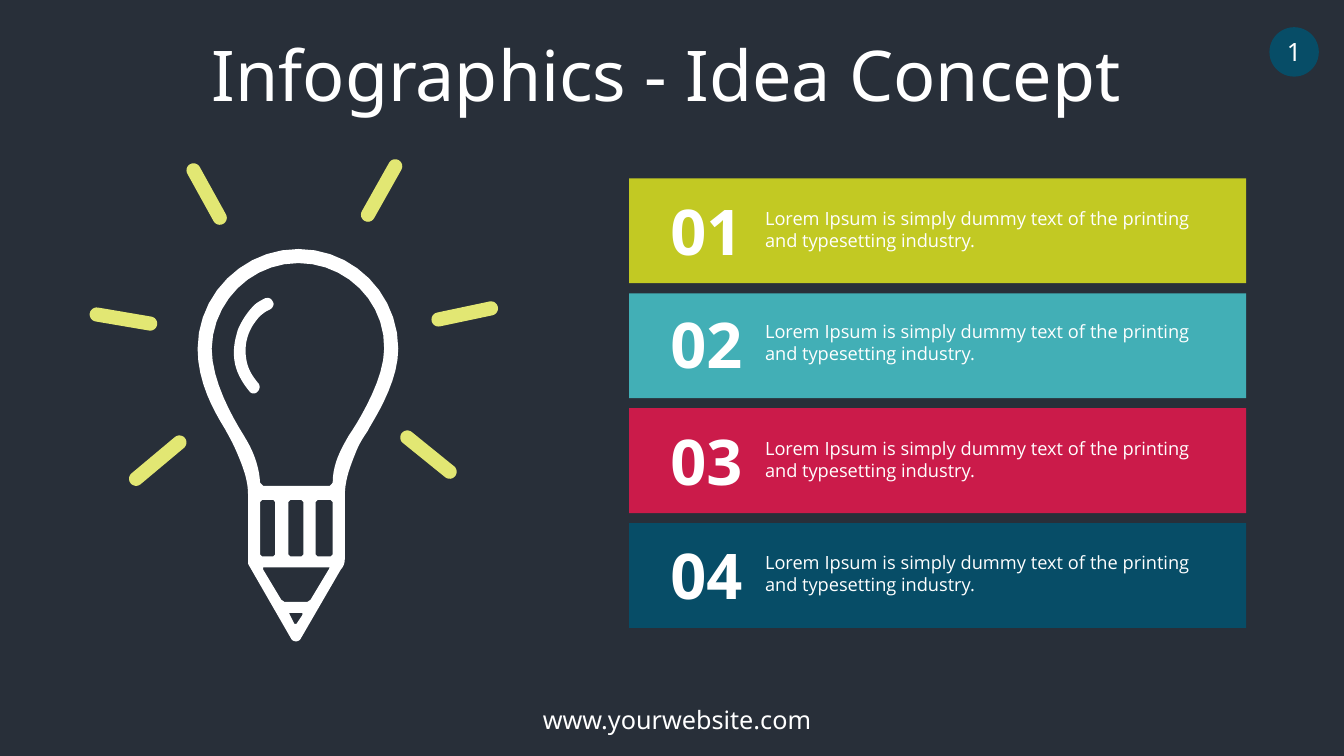
from math import atan2, cos, pi, sin

from pptx import Presentation
from pptx.dml.color import RGBColor
from pptx.enum.shapes import MSO_SHAPE
from pptx.enum.text import MSO_ANCHOR, MSO_AUTO_SIZE, PP_ALIGN
from pptx.util import Inches, Pt

NIGHT = RGBColor(0x28, 0x2F, 0x39)
WHITE = RGBColor(0xFF, 0xFF, 0xFF)
YELLOW = RGBColor(0xE2, 0xE7, 0x73)
LIME = RGBColor(0xC2, 0xC9, 0x23)
TEAL = RGBColor(0x42, 0xAF, 0xB6)
CRIMSON = RGBColor(0xCB, 0x1B, 0x4A)
NAVY = RGBColor(0x07, 0x4D, 0x67)

prs = Presentation()
prs.slide_width, prs.slide_height = Inches(13.33), Inches(7.5)
slide = prs.slides.add_slide(prs.slide_layouts[5])
slide.background.fill.solid()
slide.background.fill.fore_color.rgb = NIGHT
shapes = slide.shapes


def write(text, box=None, holder=None, size=18, font="Noto Sans", bold=False,
          align=PP_ALIGN.CENTER, anchor=MSO_ANCHOR.TOP, wrap=True,
          fit=MSO_AUTO_SIZE.SHAPE_TO_FIT_TEXT):
    """Put white text in holder, or in a new text box at box."""
    holder = holder or shapes.add_textbox(*map(Inches, box))
    frame = holder.text_frame
    frame.text = text
    frame.word_wrap, frame.auto_size, frame.vertical_anchor = wrap, fit, anchor
    paragraph = frame.paragraphs[0]
    paragraph.alignment = align
    style = paragraph.runs[0].font
    style.name, style.size, style.bold = font, Pt(size), bold
    style.color.rgb = WHITE


def draw_outline(contours, color, steps=10):
    """Fill closed contours; a 2-tuple is a corner, a 6-tuple a Bezier curve."""
    builder = None
    for start, *segments in contours:
        points = [start]
        for segment in segments:
            if len(segment) == 2:
                points.append(segment)
                continue
            x0, y0 = points[-1]
            x1, y1, x2, y2, x3, y3 = segment
            for step in range(1, steps + 1):
                t = step / steps
                a, b, c, d = (1 - t)**3, 3 * t * (1 - t)**2, 3 * t**2 * (1 - t), t**3
                points.append((a * x0 + b * x1 + c * x2 + d * x3,
                               a * y0 + b * y1 + c * y2 + d * y3))
        first, *rest = [(Inches(x), Inches(y)) for x, y in points]
        if builder is None:
            builder = shapes.build_freeform(*first)
        else:
            builder.move_to(*first)
        builder.add_line_segments(rest, close=True)
    figure = builder.convert_to_shape()
    figure.shadow.inherit = False
    figure.fill.solid()
    figure.fill.fore_color.rgb = color
    figure.line.fill.background()


# Heading, page number and footer
title = shapes.title
title.left, title.top, title.width, title.height = map(Inches, (1.32, 0.26, 10.58, 0.94))
write("Infographics - Idea Concept", holder=title, size=50)

badge = shapes.add_shape(MSO_SHAPE.OVAL, *map(Inches, (12.59, 0.27, 0.49, 0.49)))
badge.shadow.inherit = False
badge.fill.solid()
badge.fill.fore_color.rgb = NAVY
badge.line.fill.background()
write("1", holder=badge, anchor=MSO_ANCHOR.MIDDLE, wrap=False, fit=MSO_AUTO_SIZE.NONE)

write("www.yourwebsite.com", (0.5, 6.94, 12.43, 0.4))

# Rays: round-ended strokes between two centres
RAY_RADIUS = 0.07
rays = [
    (1.78, 4.39, 1.35, 4.75),
    (3.92, 1.65, 3.65, 2.13),
    (1.92, 1.69, 2.18, 2.16),
    (4.04, 4.34, 4.46, 4.68),
    (4.87, 3.06, 4.35, 3.17),
    (0.96, 3.12, 1.49, 3.21),
]
for x1, y1, x2, y2 in rays:
    heading = atan2(y2 - y1, x2 - x1)
    ray = []
    for x, y, turn in ((x2, y2, -pi / 2), (x1, y1, pi / 2)):
        for step in range(13):
            angle = heading + turn + pi * step / 12
            ray.append((x + RAY_RADIUS * cos(angle), y + RAY_RADIUS * sin(angle)))
    draw_outline([ray], YELLOW)

# Light bulb ending in a pencil
glint = [
    (2.32, 3.5), (2.32, 3.41, 2.34, 3.34, 2.36, 3.27),
    (2.4, 3.18, 2.45, 3.1, 2.52, 3.03), (2.55, 3, 2.59, 2.98, 2.63, 2.96),
    (2.67, 2.95, 2.69, 2.96, 2.71, 3), (2.72, 3.02, 2.71, 3.05, 2.68, 3.07),
    (2.63, 3.09, 2.58, 3.13, 2.55, 3.17), (2.51, 3.22, 2.48, 3.27, 2.46, 3.33),
    (2.43, 3.42, 2.43, 3.51, 2.45, 3.6), (2.47, 3.68, 2.51, 3.74, 2.56, 3.8),
    (2.58, 3.82, 2.58, 3.86, 2.56, 3.88), (2.54, 3.91, 2.5, 3.91, 2.48, 3.89),
    (2.43, 3.83, 2.39, 3.77, 2.36, 3.7), (2.33, 3.63, 2.32, 3.56, 2.32, 3.5),
]
draw_outline([glint], WHITE)

body = [
    (2.96, 2.47), (2.41, 2.47, 1.96, 2.92, 1.96, 3.46),
    (1.96, 3.88, 2.22, 4.22, 2.25, 4.29), (2.29, 4.36, 2.32, 4.42, 2.35, 4.49),
    (2.4, 4.61, 2.46, 4.75, 2.46, 4.9), (2.46, 5.56),
    (2.46, 5.58, 2.46, 5.6, 2.47, 5.61), (2.89, 6.34),
    (2.91, 6.37, 2.96, 6.37, 2.98, 6.34), (3.38, 5.65),
    (3.41, 5.62, 3.42, 5.58, 3.42, 5.54), (3.42, 4.92),
    (3.42, 4.75, 3.48, 4.61, 3.54, 4.46), (3.57, 4.39, 3.61, 4.33, 3.65, 4.27),
    (3.68, 4.2, 3.95, 3.82, 3.95, 3.46), (3.95, 2.92, 3.51, 2.47, 2.96, 2.47),
]
glass = [
    (3.46, 4.32), (3.38, 4.46, 3.3, 4.6, 3.3, 4.79), (3.27, 4.82),
    (2.61, 4.82), (2.58, 4.79), (2.57, 4.62, 2.51, 4.47, 2.43, 4.34),
    (2.43, 4.33, 2.1, 3.86, 2.1, 3.46), (2.11, 2.99, 2.49, 2.61, 2.96, 2.61),
    (3.43, 2.61, 3.82, 2.99, 3.81, 3.46), (3.81, 3.82, 3.46, 4.32, 3.46, 4.32),
]
slots = [
    [(left, 4.98), (left, 5.5), (left + 0.02, 5.52), (right - 0.02, 5.52),
     (right, 5.5), (right, 4.98), (right - 0.02, 4.96), (left + 0.02, 4.96)]
    for left, right in ((2.58, 2.73), (2.86, 3.01), (3.13, 3.3))
]
wood = [(2.61, 5.63), (2.61, 5.65), (2.79, 5.95), (2.82, 5.97),
        (3.05, 5.97), (3.08, 5.95), (3.26, 5.65), (3.27, 5.63)]
lead = [(2.87, 6.08), (2.87, 6.09), (2.92, 6.19), (2.94, 6.19), (3, 6.1), (3, 6.08)]
draw_outline([body, glass, *slots, wood, lead], WHITE)

# Numbered bars
BAR_TOP, BAR_PITCH = 1.77, 1.14
bars = [(LIME, 1.86), (TEAL, 2.98), (CRIMSON, 4.14), (NAVY, 5.27)]
for index, (color, number_top) in enumerate(bars):
    bar = shapes.add_shape(MSO_SHAPE.RECTANGLE, Inches(6.24),
                           Inches(BAR_TOP + index * BAR_PITCH), Inches(6.12), Inches(1.04))
    bar.shadow.inherit = False
    bar.fill.solid()
    bar.fill.fore_color.rgb = color
    bar.line.fill.background()
    write(f"{index + 1:02}", (6.36, number_top, 1.29, 0.86),
          size=45, font="Open Sans", bold=True)
    write("Lorem Ipsum is simply dummy text of the printing and typesetting industry.",
          (7.49, number_top + 0.15, 4.4, 0.54),
          size=13, font="Open Sans", align=PP_ALIGN.JUSTIFY)

prs.save("out.pptx")
